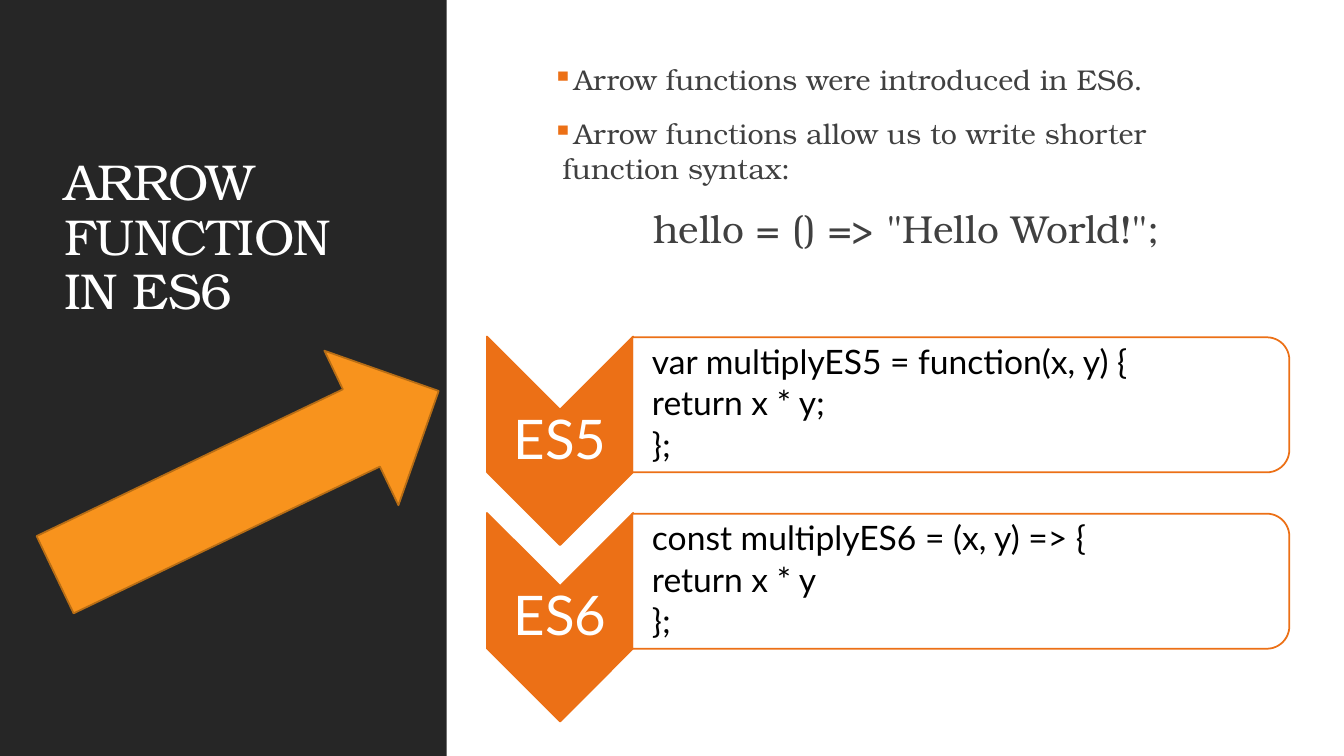
from lxml import etree
from pptx import Presentation
from pptx import util as u
from pptx.dml.color import RGBColor
from pptx.enum import shapes, text
from pptx.oxml import ns

WHITE = RGBColor(0xFF, 0xFF, 0xFF)
BLACK = RGBColor(0, 0, 0)
CHARCOAL = RGBColor(0x26, 0x26, 0x26)
GREY = RGBColor(0x40, 0x40, 0x40)
ORANGE = RGBColor(0xEC, 0x70, 0x16)
AMBER = RGBColor(0xF8, 0x93, 0x1D)
BROWN = RGBColor(0xB7, 0x6D, 0x15)

SERIF, SANS = "TeX Gyre Bonum", "Lato"
SHAPE = shapes.MSO_SHAPE
MIDDLE = text.MSO_ANCHOR.MIDDLE
CENTER = text.PP_ALIGN.CENTER
STEP_PITCH = 126


def apply(target, values):
    for name, value in values.items():
        setattr(target, name, value)


class Deck:
    line_width = u.Pt(1.25)

    def __init__(self, width, height):
        self.prs = Presentation()
        apply(self.prs, {"slide_width": u.Pt(width), "slide_height": u.Pt(height)})
        self.slide = self.prs.slides.add_slide(self.prs.slide_layouts[6])

    def shape(self, preset, box, fill, outline=None, rotation=0, opacity=None):
        figure = self.slide.shapes.add_shape(preset, *map(u.Pt, box))
        figure.shadow.inherit = False
        figure.rotation = rotation
        figure.fill.solid()
        figure.fill.fore_color.rgb = fill
        if opacity is not None:
            colour = figure.fill._xPr.find(".//" + ns.qn("a:srgbClr"))
            etree.SubElement(colour, ns.qn("a:alpha"), val=str(opacity * 1000))
        if outline is None:
            figure.line.fill.background()
        else:
            figure.line.color.rgb = outline
            figure.line.width = self.line_width

    def text(self, box, lines, font, size, colour, insets, anchor=text.MSO_ANCHOR.TOP, **spacing):
        """Insets run left, top, right, bottom; spacing holds paragraph format values."""
        frame = self.slide.shapes.add_textbox(*map(u.Pt, box)).text_frame
        sides = ("margin_left", "margin_top", "margin_right", "margin_bottom")
        apply(frame, dict(zip(sides, map(u.Pt, insets)), word_wrap=True, vertical_anchor=anchor))
        frame.text = "\n".join(lines)
        for paragraph in frame.paragraphs:
            apply(paragraph, spacing)
            for run in paragraph.runs:
                apply(run.font, {"name": font, "size": u.Pt(size)})
                run.font.color.rgb = colour
        return frame.paragraphs

    def indent(self, paragraph, left, first=0, bullet=None, colour=None):
        props = paragraph._p.get_or_add_pPr()
        props.set("marL", str(u.Pt(left)))
        props.set("indent", str(u.Pt(first)))
        if bullet:
            bullet_colour = etree.SubElement(props, ns.qn("a:buClr"))
            etree.SubElement(bullet_colour, ns.qn("a:srgbClr"), val=str(colour))
            etree.SubElement(props, ns.qn("a:buChar"), char=bullet)

    def step(self, index, label, code):
        """One chevron with its label and the code panel beside it."""
        drop = index * STEP_PITCH
        self.shape(SHAPE.CHEVRON, (325.5, 262.7 + drop, 149, 104.4), ORANGE, ORANGE, 90)
        self.text((347.8, 293 + drop, 104.4, 44.6), [label], SANS, 39, WHITE, (2, 2, 2, 2),
                  MIDDLE, alignment=CENTER, line_spacing=0.9)
        self.shape(SHAPE.ROUND_2_SAME_RECTANGLE, (638, 54.5 + drop, 96.5, 469.4),
                   WHITE, ORANGE, 90, 90)
        self.text((452.2, 245.6 + drop, 464.4, 87.1), code, SANS, 24, BLACK,
                  (13.5, 1.5, 1.5, 1.5), MIDDLE, line_spacing=0.9, space_after=u.Pt(3.6))


def main():
    deck = Deck(960, 540)
    deck.shape(SHAPE.RECTANGLE, (0, 0, 319, 540), CHARCOAL)

    title, = deck.text((38.9, 41, 242.6, 454.3), ["ARROW FUNCTION IN ES6"], SERIF, 36, WHITE,
                       (7.2, 3.6, 7.2, 198.6), MIDDLE, line_spacing=0.9)
    title.runs[0].font._element.set("spc", "-50")

    *points, example = deck.text(
        (394.6, 41, 483.8, 146.2),
        ["Arrow functions were introduced in ES6.",
         "Arrow functions allow us to write shorter function syntax:",
         'hello = () => "Hello World!";'],
        SERIF, 20.4, GREY, (0, 3.6, 0, 3.6), space_before=u.Pt(12), space_after=u.Pt(2))
    for point in points:
        deck.indent(point, 7.2, -7.2, "▪", ORANGE)
    deck.indent(example, 72)
    example.runs[0].font.size = u.Pt(27.8)

    deck.shape(SHAPE.RIGHT_ARROW, (24.5, 283.7, 303.8, 122.4), AMBER, BROWN, 334.4)

    steps = {
        "ES5": ["var multiplyES5 = function(x, y) {", "return x * y;", "};"],
        "ES6": ["const multiplyES6 = (x, y) => {", "return x * y", "};"],
    }
    for index, (label, code) in enumerate(steps.items()):
        deck.step(index, label, code)

    deck.prs.save("out.pptx")


if __name__ == "__main__":
    main()
